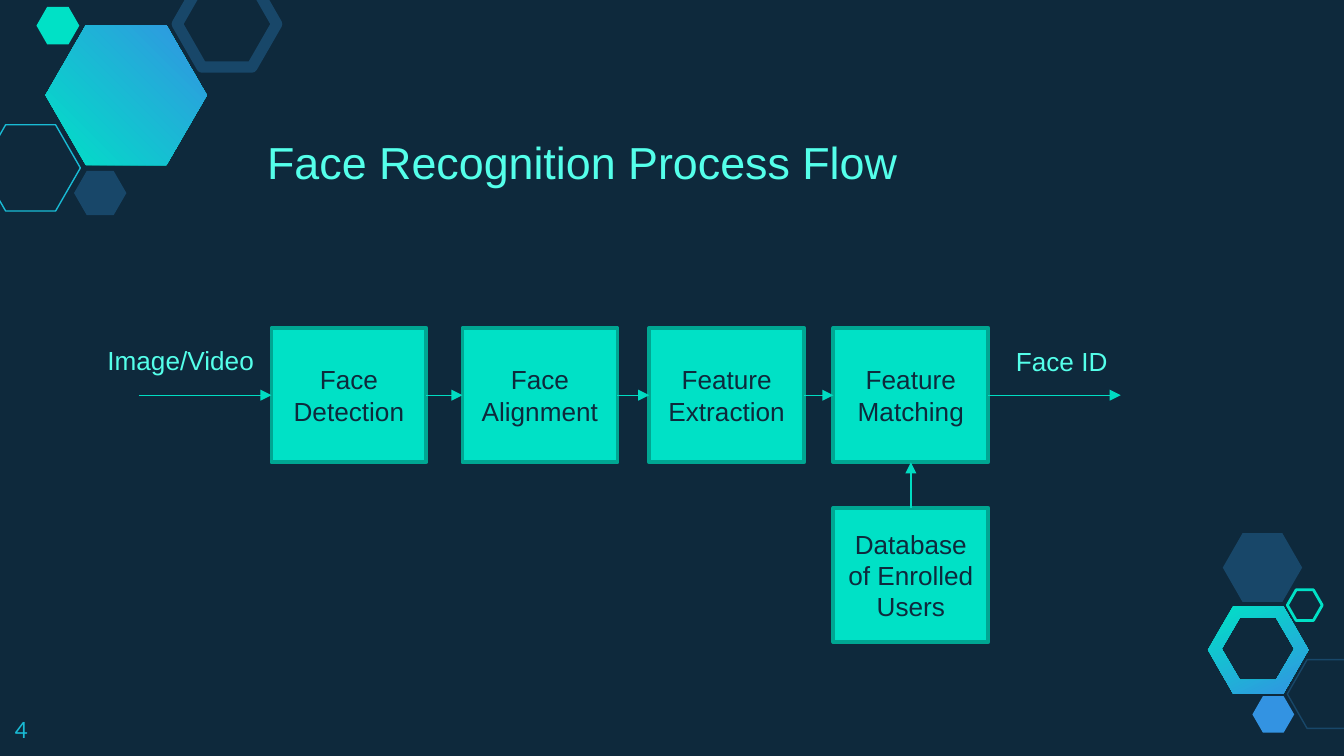
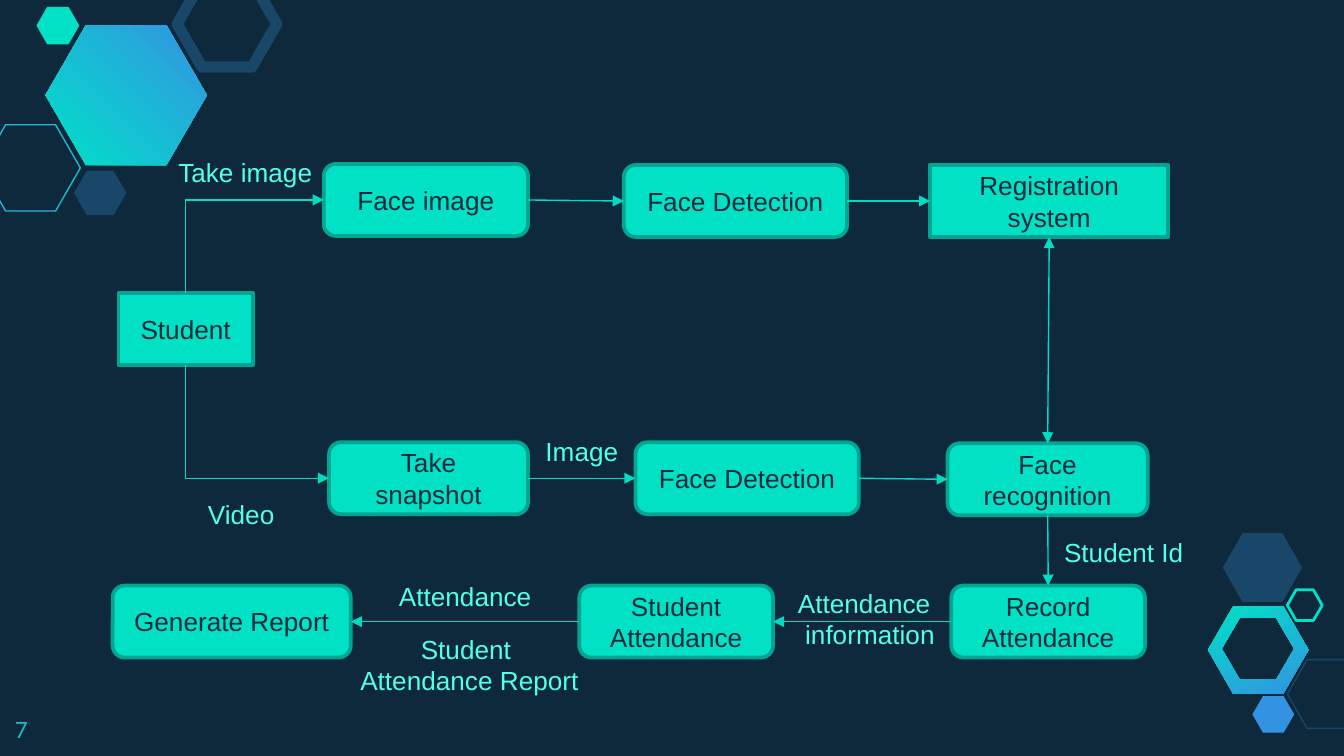
from typing import NamedTuple, Optional, Union

from pptx import Presentation
from pptx.dml.color import RGBColor
from pptx.enum.shapes import MSO_CONNECTOR as Wire, MSO_SHAPE as Form
from pptx.enum.text import MSO_ANCHOR as Anchor, MSO_AUTO_SIZE as Fit, PP_ALIGN as Align
from pptx.oxml.ns import qn
from pptx.slide import Slide
from pptx.util import Cm, Pt

NAVY = RGBColor(0x0E, 0x29, 0x3C)
STEEL = RGBColor(0x18, 0x47, 0x69)
BLUE = RGBColor(0x33, 0x93, 0xE2)
CYAN = RGBColor(0x19, 0xBB, 0xD5)
MINT = RGBColor(0x00, 0xE1, 0xC6)
EDGE = RGBColor(0x00, 0xA6, 0x92)
WIRE = RGBColor(0x00, 0xDC, 0xC2)
PALE = RGBColor(0x54, 0xFF, 0xEA)

TOP, LEFT, BOTTOM, RIGHT = range(4)
RECT, ROUND = Form.RECTANGLE, Form.ROUNDED_RECTANGLE


class Area(NamedTuple):
    x: float
    y: float
    w: float
    h: float


class Hex(NamedTuple):
    area: Area
    color: RGBColor
    line: float = 0  # outline width in points; 0 means filled


class Box(NamedTuple):
    text: str
    area: Area
    form: Form = RECT


class Label(NamedTuple):
    text: str
    area: Area
    wrap: bool = False
    align: Align = Align.LEFT


class Spot(NamedTuple):
    x: float
    y: float


class Port(NamedTuple):
    box: str
    side: int


class Link(NamedTuple):
    start: Union[Port, Spot]
    end: Union[Port, Spot]
    bent: bool = False
    both: bool = False


HEXES = [
    Hex(Area(-0.36, 2.36, 1.88, 1.63), CYAN, 0.75),
    Hex(Area(1.4, 3.23, 0.99, 0.84), STEEL),
    Hex(Area(3.35, -0.36, 1.88, 1.63), STEEL, 6),
    Hex(Area(0.69, 0.13, 0.81, 0.71), MINT),
    Hex(Area(24.33, 12.47, 1.5, 1.3), STEEL, 0.75),
    Hex(Area(23.67, 13.16, 0.79, 0.69), BLUE),
    Hex(Area(23.11, 10.08, 1.5, 1.3), STEEL),
    Hex(Area(24.33, 11.15, 0.66, 0.58), MINT, 1.5),
]
BIG = Area(0.86, 0.48, 3.05, 2.64)
RING = Area(22.83, 11.46, 1.9, 1.65)
HOLE = Area(23.09, 11.68, 1.37, 1.17)


def place(area: Area) -> list[Cm]:
    return [Cm(v) for v in area]


def points(area: Area) -> list[tuple[Cm, Cm]]:
    """Corners of a flat-topped hexagon, from the left one clockwise."""
    x, y, w, h = area
    spots = [(0, 0.5), (0.25, 0), (0.75, 0), (1, 0.5), (0.75, 1), (0.25, 1)]
    return [(Cm(x + w * i), Cm(y + h * j)) for i, j in spots]


def blend(slide: Slide, angle: float, *areas: Area) -> None:
    """Draw a mint-to-blue hexagon; further areas are holes in it."""
    first, *rest = [points(area) for area in areas]
    path = slide.shapes.build_freeform(*first[0])
    path.add_line_segments(first[1:])
    for hole in rest:
        path.move_to(*hole[0])
        path.add_line_segments(hole[1:])
    shape = path.convert_to_shape()
    shape.shadow.inherit = False
    shape.line.fill.background()
    shape.fill.gradient()
    shape.fill.gradient_angle = angle
    for stop, color in zip(shape.fill.gradient_stops, (MINT, BLUE)):
        stop.color.rgb = color


def draw_hex(slide: Slide, item: Hex) -> None:
    shape = slide.shapes.add_shape(Form.HEXAGON, *place(item.area))
    shape.adjustments[0] = 0.287
    shape.shadow.inherit = False
    if item.line:
        shape.fill.background()
        shape.line.color.rgb = item.color
        shape.line.width = Pt(item.line)
    else:
        shape.fill.solid()
        shape.fill.fore_color.rgb = item.color
        shape.line.fill.background()


def write(frame, text: str, color: RGBColor, size: float = 14,
          font: str = "Arial", align: Align = Align.LEFT) -> None:
    frame.text = text
    for para in frame.paragraphs:
        para.alignment = align
        para.font.name = font
        para.font.size = Pt(size)
        para.font.color.rgb = color


def draw_text(slide: Slide, text: str, area: Area, color: RGBColor,
              size: float, font: str) -> None:
    frame = slide.shapes.add_textbox(*place(area)).text_frame
    frame.word_wrap = True
    frame.margin_left = frame.margin_right = Cm(0.25)
    frame.margin_top = frame.margin_bottom = Cm(0.25)
    write(frame, text, color, size, font)


def draw_label(slide: Slide, item: Label) -> None:
    frame = slide.shapes.add_textbox(*place(item.area)).text_frame
    frame.word_wrap = item.wrap
    frame.auto_size = Fit.SHAPE_TO_FIT_TEXT
    write(frame, item.text, PALE, align=item.align)


def draw_box(slide: Slide, item: Box):
    shape = slide.shapes.add_shape(item.form, *place(item.area))
    shape.shadow.inherit = False
    shape.fill.solid()
    shape.fill.fore_color.rgb = MINT
    shape.line.color.rgb = EDGE
    shape.line.width = Pt(2)
    frame = shape.text_frame
    frame.word_wrap = True
    frame.vertical_anchor = Anchor.MIDDLE
    write(frame, item.text, NAVY, align=Align.CENTER)
    return shape


def bend(wire) -> None:
    """Turn an elbow into one corner: first vertical, then to the right."""
    x, y = wire.begin_x, wire.begin_y
    dx, dy = wire.end_x - x, wire.end_y - y
    wide, high = abs(dy), abs(dx)
    wire.left, wire.top = x + (dx - wide) // 2, y + (dy - high) // 2
    wire.width, wire.height = wide, high
    props = wire._element.spPr
    props.find(qn("a:prstGeom")).set("prst", "bentConnector2")
    frame = props.find(qn("a:xfrm"))
    frame.set("rot", str((90 if dy < 0 else 270) * 60000))
    frame.set("flipH", "1")
    frame.set("flipV", "1" if dy < 0 else "0")


def draw_link(slide: Slide, item: Link, boxes: dict) -> None:
    ends = [(Cm(e.x), Cm(e.y)) if isinstance(e, Spot) else (0, 0)
            for e in (item.start, item.end)]
    kind = Wire.ELBOW if item.bent else Wire.STRAIGHT
    wire = slide.shapes.add_connector(kind, *ends[0], *ends[1])
    for end, join in ((item.start, wire.begin_connect), (item.end, wire.end_connect)):
        if isinstance(end, Port):
            join(boxes[end.box], end.side)
    if item.bent:
        bend(wire)
    wire.line.color.rgb = WIRE
    wire.line.width = Pt(0.75)
    props = wire._element.spPr
    line = props.find(qn("a:ln"))
    for tag in ("a:headEnd", "a:tailEnd") if item.both else ("a:tailEnd",):
        tip = line.makeelement(qn(tag), {"type": "triangle"})
        line.append(tip)
    props.append(props.makeelement(qn("a:effectLst"), {}))


def add_flow(deck, number: str, boxes: dict[str, Box], links: list[Link],
             labels: list[Label], title: Optional[str] = None) -> None:
    slide = deck.slides.add_slide(deck.slide_layouts[6])
    slide.background.fill.solid()
    slide.background.fill.fore_color.rgb = NAVY
    blend(slide, 296, RING, HOLE)
    blend(slide, 45, BIG)
    for item in HEXES:
        draw_hex(slide, item)
    draw_text(slide, number, Area(0.03, 13.28, 1.52, 0.99), CYAN, 12, "Lato")
    if title:
        draw_text(slide, title, Area(4.8, 2.29, 13.74, 1.8), PALE, 24, "Arial")
    drawn = {key: draw_box(slide, box) for key, box in boxes.items()}
    for link in links:
        draw_link(slide, link, drawn)
    for label in labels:
        draw_label(slide, label)


def step(text: str, x: float, y: float = 6.2) -> Box:
    return Box(text, Area(x, y, 2.93, 2.54))


def node(text: str, x: float, y: float, w: float, form: Form = ROUND) -> Box:
    return Box(text, Area(x, y, w, 1.36), form)


def tag(text: str, x: float, y: float, w: float) -> Label:
    return Label(text, Area(x, y, w, 0.86))


def across(start: str, end: str) -> Link:
    return Link(Port(start, RIGHT), Port(end, LEFT))


def back(start: str, end: str) -> Link:
    return Link(Port(start, LEFT), Port(end, RIGHT))


STEPS = {
    "detect": step("Face Detection", 5.13),
    "align": step("Face Alignment", 8.74),
    "extract": step("Feature Extraction", 12.27),
    "match": step("Feature Matching", 15.75),
    "users": step("Database of Enrolled Users", 15.75, 9.6),
}
STEP_LINKS = [
    Link(Spot(2.62, 7.47), Port("detect", LEFT)),
    across("detect", "align"),
    across("align", "extract"),
    across("extract", "match"),
    Link(Port("users", TOP), Port("match", BOTTOM)),
    Link(Port("match", RIGHT), Spot(21.18, 7.47)),
]
STEP_TAGS = [
    tag("Face ID", 18.95, 6.4, 2.26),
    tag("Image/Video", 1.78, 6.38, 3.3),
]

NODES = {
    "student": node("Student", 2.24, 5.54, 2.54, RECT),
    "system": node("Registration system", 17.58, 3.12, 4.5, RECT),
    "recognize": node("Face recognition", 17.91, 8.38, 3.78),
    "attend": node("Student Attendance", 10.95, 11.07, 3.66),
    "image": node("Face image", 6.12, 3.1, 3.86),
    "report": node("Generate Report", 2.13, 11.07, 4.5),
    "enroll": node("Face Detection", 11.79, 3.12, 4.22),
    "snapshot": node("Take snapshot", 6.22, 8.36, 3.76),
    "detect": node("Face Detection", 12.01, 8.36, 4.22),
    "record": node("Record Attendance", 17.98, 11.07, 3.66),
}
NODE_LINKS = [
    Link(Port("student", TOP), Port("image", LEFT), bent=True),
    across("image", "enroll"),
    across("enroll", "system"),
    Link(Port("student", BOTTOM), Port("snapshot", LEFT), bent=True),
    across("snapshot", "detect"),
    across("detect", "recognize"),
    Link(Port("system", BOTTOM), Port("recognize", TOP), both=True),
    Link(Port("recognize", BOTTOM), Port("record", TOP)),
    back("record", "attend"),
    back("attend", "report"),
]
NODE_TAGS = [
    tag("Take image", 3.12, 2.84, 3.1),
    tag("Video", 3.68, 9.3, 1.78),
    tag("Image", 10.06, 8.1, 1.9),
    tag("Student Id", 19.86, 10.01, 2.77),
    tag("Attendance", 7.29, 10.85, 3.02),
    Label("Student \nAttendance Report", Area(6.17, 11.84, 5.41, 1.45), True, Align.CENTER),
    Label("Attendance\n information", Area(14.83, 10.97, 3.1, 1.45)),
]


def main() -> None:
    deck = Presentation()
    deck.slide_width, deck.slide_height = Cm(25.4), Cm(14.29)
    add_flow(deck, "4", STEPS, STEP_LINKS, STEP_TAGS, "Face Recognition Process Flow")
    add_flow(deck, "7", NODES, NODE_LINKS, NODE_TAGS)
    deck.save("out.pptx")


if __name__ == "__main__":
    main()
